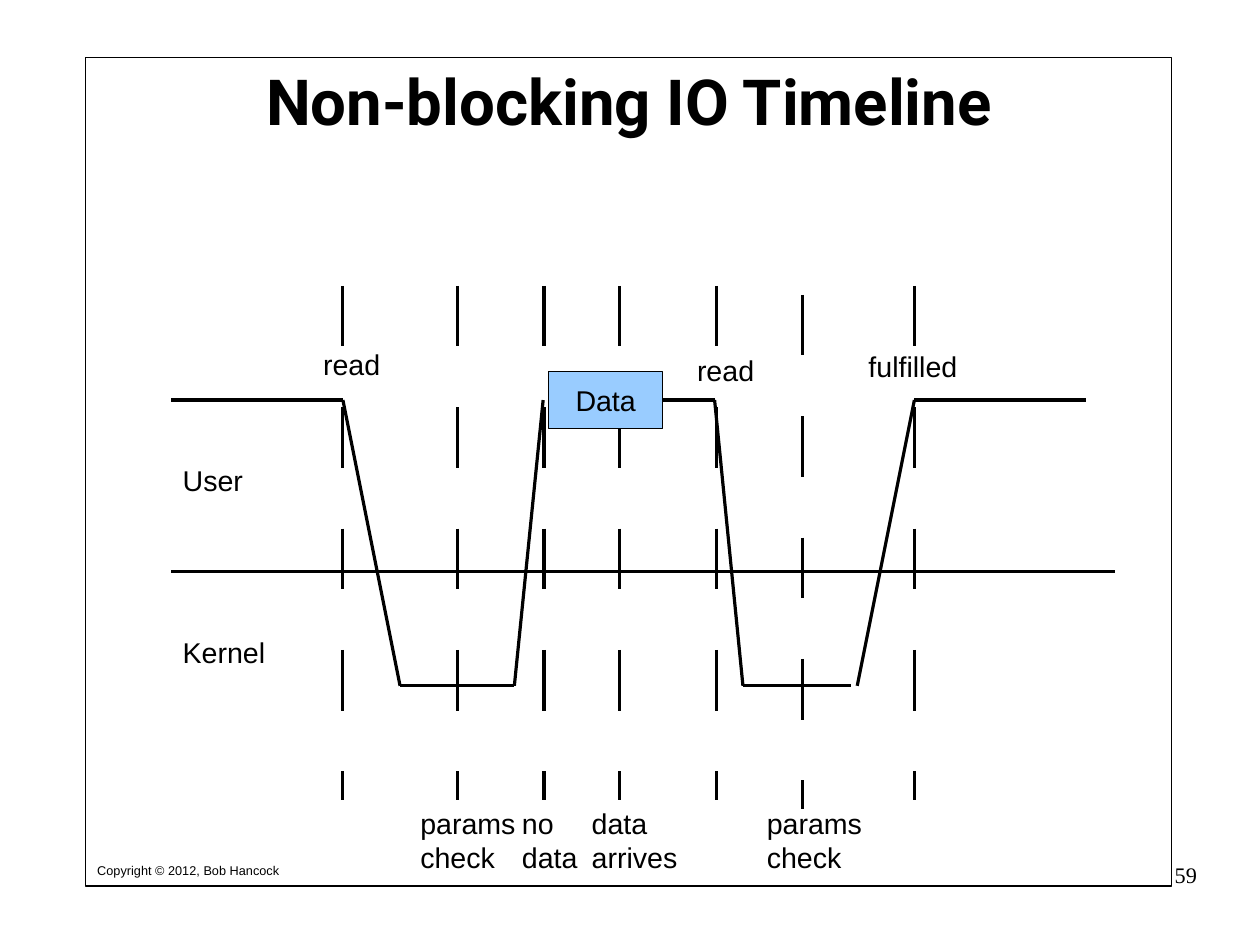
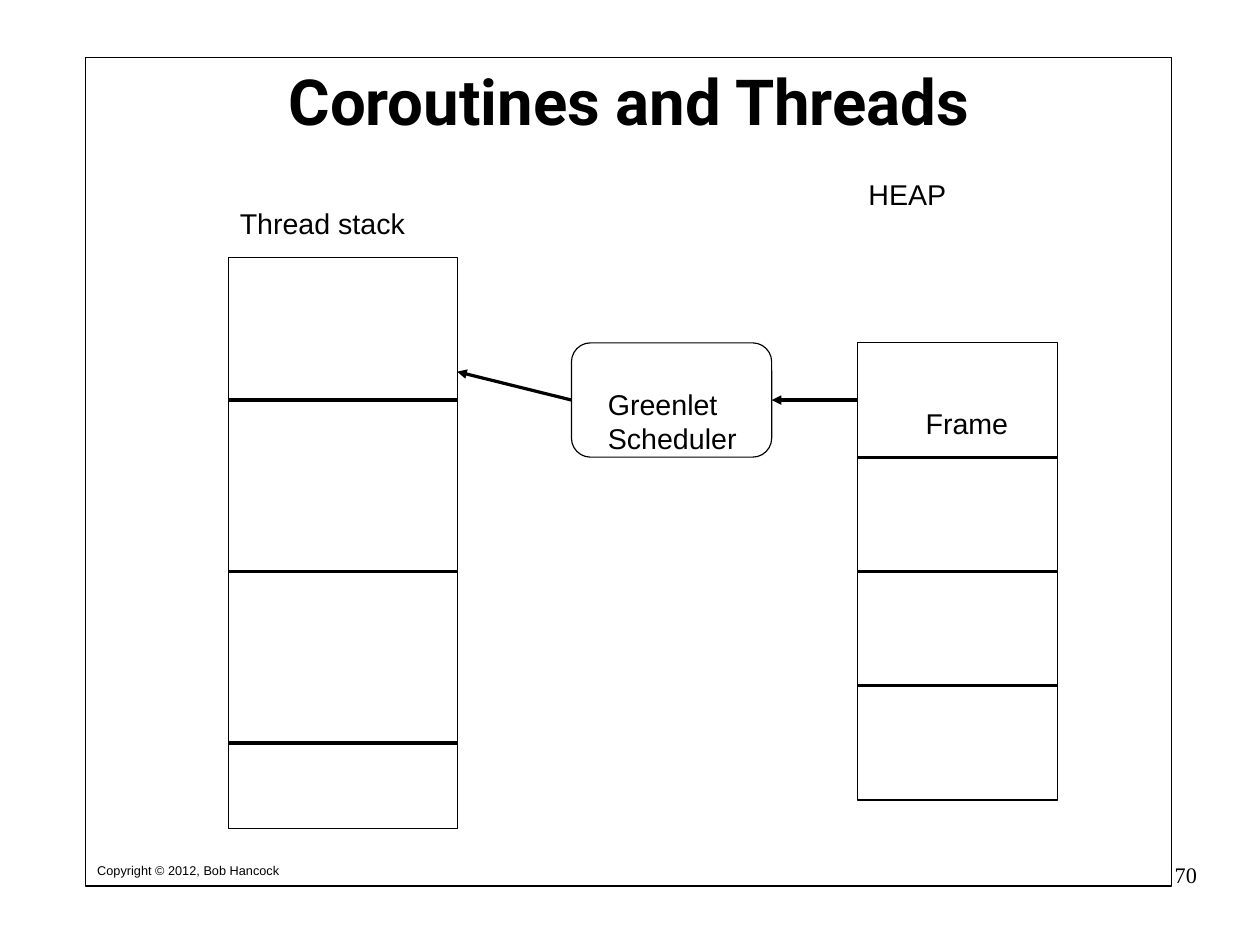
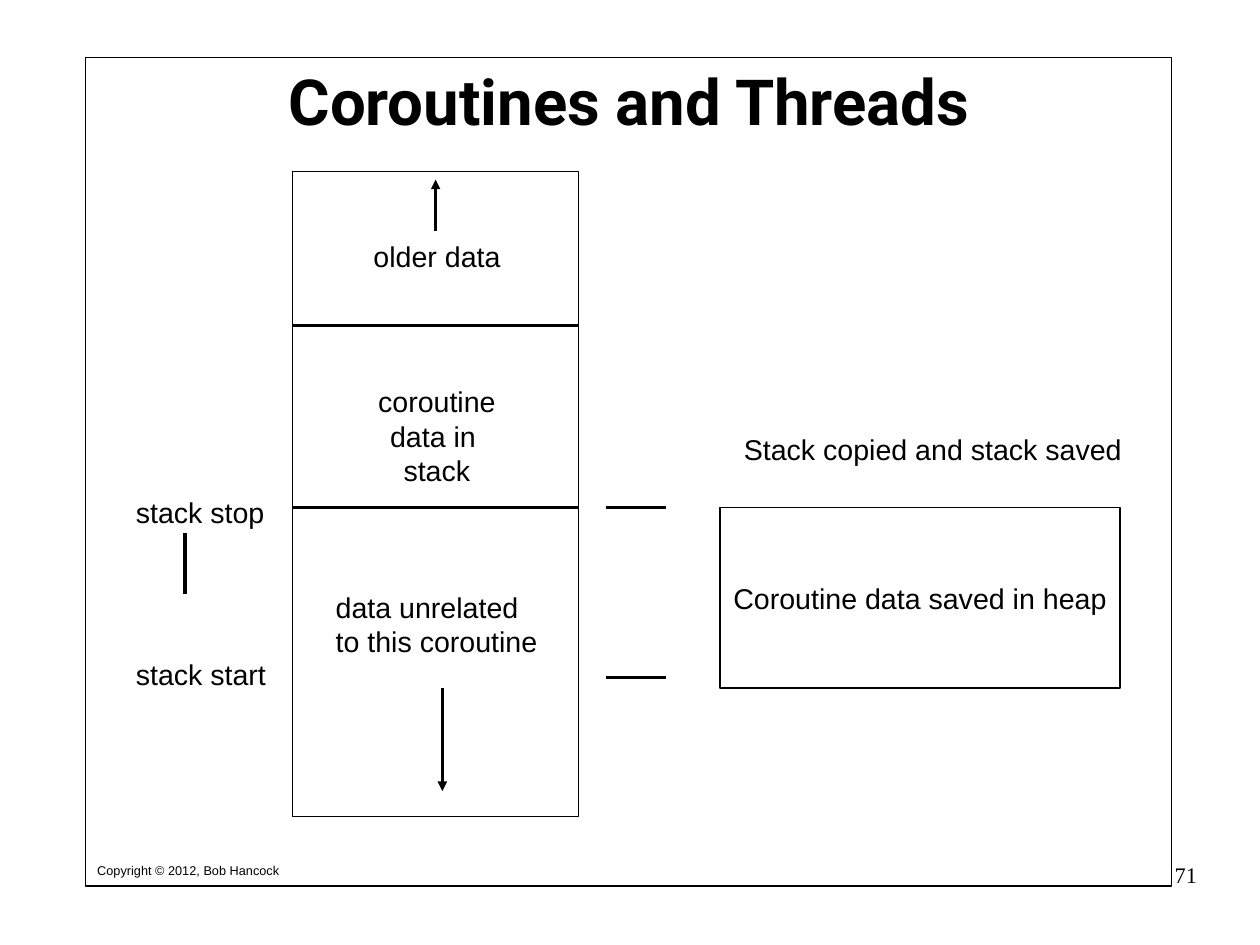
from lxml import etree
from pptx import Presentation
from pptx import util as u
from pptx.dml.color import RGBColor
from pptx.enum import shapes, text
from pptx.oxml import ns

BLACK = RGBColor(0x00, 0x00, 0x00)
SKY = RGBColor(0x99, 0xCC, 0xFF)

LABEL = {"name": "Arial", "size": u.Pt(18), "bold": False}
TITLE = {"name": "Roboto", "size": u.Pt(40), "bold": True}
COPYRIGHT = {"name": "Arial", "size": u.Pt(8), "bold": False}
PAGE_NUMBER = {"name": "Times New Roman", "size": u.Pt(14), "bold": False}

PADDING = (0.25, 0.13)
NO_PADDING = (0, 0)
LEFT, CENTER, RIGHT = (text.PP_ALIGN.LEFT, text.PP_ALIGN.CENTER,
                       text.PP_ALIGN.RIGHT)
TOP, MIDDLE = text.MSO_ANCHOR.TOP, text.MSO_ANCHOR.MIDDLE
RECTANGLE = shapes.MSO_SHAPE.RECTANGLE
ROUNDED = shapes.MSO_SHAPE.ROUNDED_RECTANGLE
FRAME = (1.91, 1.27, 24.13, 18.42)


class Deck:
    """Shared style plus the slide being drawn; lengths are centimetres."""

    def __init__(self):
        self.file = Presentation()
        self.file.slide_width, self.file.slide_height = u.Cm(28), u.Cm(21)
        self.slide = None

    def new_slide(self, title, number):
        self.slide = self.file.slides.add_slide(self.file.slide_layouts[5])
        heading = self.slide.shapes.title
        left, top, width, _ = FRAME
        heading.left, heading.top = u.Cm(left), u.Cm(top)
        heading.width, heading.height = u.Cm(width), u.Cm(1.93)
        self.set_text(heading, title, TITLE, CENTER, MIDDLE, NO_PADDING, True)
        self.box(*FRAME)
        self.label("Copyright © 2012, Bob Hancock", left, 19.05, 4.55,
                   style=COPYRIGHT)
        self.label(str(number), 20.07, 19.13, 6.53, style=PAGE_NUMBER,
                   align=RIGHT, padding=NO_PADDING, wrap=True)

    def set_text(self, holder, words, style, align, anchor, padding, wrap):
        frame = holder.text_frame
        frame.text = words
        across, down = map(u.Cm, padding)
        layout = {"word_wrap": wrap, "vertical_anchor": anchor,
                  "auto_size": text.MSO_AUTO_SIZE.NONE,
                  "margin_left": across, "margin_right": across,
                  "margin_top": down, "margin_bottom": down}
        for key, value in layout.items():
            setattr(frame, key, value)
        for paragraph in frame.paragraphs:
            paragraph.alignment = align
            for run in paragraph.runs:
                for key, value in style.items():
                    setattr(run.font, key, value)
                run.font.color.rgb = BLACK

    def label(self, words, left, top, width, style=LABEL, align=LEFT,
              padding=PADDING, wrap=False):
        lines = words.count("\n") + 1
        height = 2 * padding[1] + lines * style["size"].cm * 1.15
        holder = self.slide.shapes.add_textbox(
            *map(u.Cm, (left, top, width, height)))
        self.set_text(holder, words, style, align, TOP, padding, wrap)

    def box(self, left, top, width, height, words="", fill=None,
            kind=RECTANGLE):
        shape = self.slide.shapes.add_shape(
            kind, *map(u.Cm, (left, top, width, height)))
        shape.shadow.inherit = False
        if fill is None:
            shape.fill.background()
        else:
            shape.fill.solid()
            shape.fill.fore_color.rgb = fill
        self.hairline(shape)
        if words:
            self.set_text(shape, words, LABEL, CENTER, MIDDLE, PADDING, False)

    def hairline(self, shape):
        shape.line.color.rgb = BLACK
        shape.line.width = 0

    def line(self, start, end, dashed=False, arrow=False):
        link = self.slide.shapes.add_connector(
            shapes.MSO_CONNECTOR.STRAIGHT, *map(u.Cm, (*start, *end)))
        self.hairline(link)
        outline = link.line._get_or_add_ln()
        if dashed:
            dashes = etree.SubElement(outline, ns.qn("a:custDash"))
            etree.SubElement(dashes, ns.qn("a:ds"), d="1900000", sp="1900000")
        if arrow:
            etree.SubElement(outline, ns.qn("a:tailEnd"), type="triangle")
        etree.SubElement(link._element.spPr, ns.qn("a:effectLst"))

    def trace(self, *points):
        for start, end in zip(points, points[1:]):
            self.line(start, end)

    def stack(self, left, top, width, height, dividers):
        self.box(left, top, width, height)
        for y in dividers:
            self.line((left, y), (left + width, y))


def timeline(deck):
    deck.new_slide("Non-blocking IO Timeline", 59)
    user, border, kernel = 8.89, 12.7, 15.24

    # Moments in time
    for x in (7.62, 10.16, 12.09, 13.77, 15.93, 20.32):
        deck.line((x, 6.35), (x, 17.78), dashed=True)
    deck.line((17.83, 6.55), (17.83, 17.98), dashed=True)

    # Control moving between user and kernel space
    deck.line((3.81, border), (24.77, border))
    deck.trace((3.81, user), (7.62, user), (8.89, kernel), (11.43, kernel),
               (12.07, user))
    deck.trace((14.61, user), (15.88, user), (16.51, kernel), (18.92, kernel))
    deck.trace((19.05, kernel), (20.32, user), (24.13, user))
    deck.box(12.19, 8.26, 2.54, 1.27, "Data", SKY)

    # Spaces and calls
    for words, left, top, width in (
            ("User", 3.81, 10.16, 1.85), ("Kernel", 3.81, 13.97, 2.34),
            ("read", 6.93, 7.57, 1.78), ("read", 15.24, 7.72, 1.78),
            ("fulfilled", 19.05, 7.62, 2.49)):
        deck.label(words, left, top, width)

    # Events
    for words, left, width in (
            ("params\ncheck", 9.09, 2.64), ("no\ndata", 11.35, 2.16),
            ("data\narrives", 12.9, 2.54), ("params\ncheck", 16.79, 2.64)):
        deck.label(words, left, 17.78, width, wrap=True)


def scheduler(deck):
    deck.new_slide("Coroutines and Threads", 70)

    # Thread stack
    deck.label("Thread stack", 5.08, 4.45, 4.45)
    deck.stack(5.08, 5.72, 5.08, 12.7, (8.89, 12.7, 16.51))

    # Scheduler between heap and stack
    deck.box(12.7, 7.62, 4.45, 2.54, kind=ROUNDED)
    deck.label("Greenlet\nScheduler", 13.26, 8.46, 3.35)
    deck.line((12.7, 8.89), (10.16, 8.26), arrow=True)
    deck.line((19.05, 8.89), (17.15, 8.89), arrow=True)

    # Heap
    deck.label("HEAP", 19.05, 3.81, 2.24)
    deck.stack(19.05, 7.62, 4.45, 10.16,
               [7.62 + 2.54 * row for row in range(1, 4)])
    deck.label("Frame", 20.32, 8.89, 2.34)


def stack_saving(deck):
    deck.new_slide("Coroutines and Threads", 71)
    stop, start = 11.28, 15.06

    # Stack and its contents
    deck.stack(6.5, 3.81, 6.35, 14.33, (7.24, stop))
    deck.label("older data", 8.05, 5.18, 3.33)
    deck.label("coroutine\ndata in \nstack", 8.15, 8.41, 3.12, align=CENTER)
    deck.label("data unrelated\nto this coroutine", 7.21, 12.98, 4.98)
    deck.line((9.68, 5.13), (9.68, 3.99), arrow=True)
    deck.line((9.83, 15.29), (9.83, 17.58), arrow=True)

    # Range of the stack
    deck.label("stack stop", 2.77, 10.87, 3.35)
    deck.label("stack start", 2.77, 14.48, 3.4)
    deck.line((4.11, 11.84), (4.11, 14.12), dashed=True)

    # Data saved in the heap
    deck.label("Stack copied and stack saved", 16.28, 9.47, 9.88, wrap=True)
    deck.box(16, stop, 8.89, 4.01, "Coroutine data saved in heap")
    for y in (stop, start):
        deck.line((13.46, y), (15.37, y), dashed=True)


def main():
    deck = Deck()
    for draw in (timeline, scheduler, stack_saving):
        draw(deck)
    deck.file.save("out.pptx")


if __name__ == "__main__":
    main()
